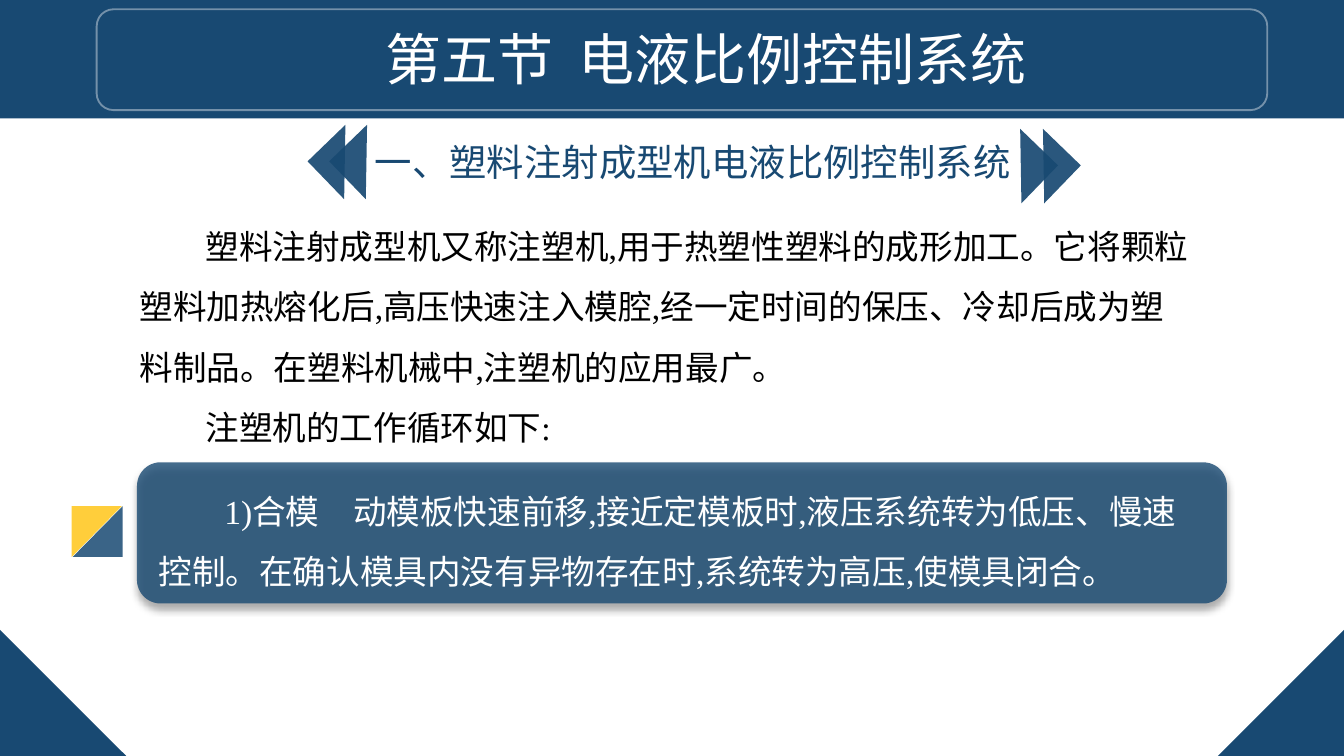
"""Build the slide on the injection moulding machine's control system."""
from lxml import etree
from pptx import Presentation
from pptx.dml.color import RGBColor
from pptx.enum import shapes, text
from pptx.oxml.ns import qn
from pptx.util import Pt

NAVY = RGBColor(0x18, 0x49, 0x72)
GOLD = RGBColor(0xFF, 0xC0, 0x00)
WHITE = RGBColor(0xFF, 0xFF, 0xFF)
BLACK = RGBColor(0, 0, 0)
FONT = "Times New Roman"
WIDTH, HEIGHT = 720, 405
CORNER, ARROW = 67.6, 28.2
KIND = shapes.MSO_SHAPE

TITLE = "第五节  电液比例控制系统"
HEADING = "一、塑料注射成型机电液比例控制系统"
INTRO = ("塑料注射成型机又称注塑机,用于热塑性塑料的成形加工。它将颗粒塑料加热熔化后,"
         "高压快速注入模腔,经一定时间的保压、冷却后成为塑料制品。"
         "在塑料机械中,注塑机的应用最广。")
CYCLE = "注塑机的工作循环如下:"
STEP = ("1)合模　动模板快速前移,接近定模板时,液压系统转为低压、慢速控制。"
        "在确认模具内没有异物存在时,系统转为高压,使模具闭合。")

BODY = {"size": 18, "indent": 35.3, "spacing": 1.5}
TEXTS = [
    (TITLE, (77.8, 9.4, 601.2, 79.9), WHITE,
     {"size": 30, "align": text.PP_ALIGN.CENTER}),
    (HEADING, (193.7, 71.3, 547.9, 31.7), NAVY, {"size": 20}),
    (INTRO, (67.7, 106.6, 576.7, 101.5), BLACK, BODY),
    (CYCLE, (67.7, 203.8, 236.9, 36), BLACK, {**BODY, "wrap": False}),
    (STEP, (77.8, 248.4, 568.8, 68.4), WHITE, BODY),
]
ARROWS = [
    (170.6, 72.7, 316, "V"),
    (182.2, 72.7, 316, "V"),
    (532.8, 74.9, 44, "HV"),
    (545, 74.9, 44, "HV"),
]


def set_alpha(color_format, percent):
    color = color_format._xFill.find(qn("a:srgbClr"))
    etree.SubElement(color, qn("a:alpha"), val=str(percent * 1000))


def add_block(parent, kind, box, fill=None, alpha=100, turn=0, flips=""):
    block = parent.add_shape(kind, *map(Pt, box))
    block.shadow.inherit = False
    block.line.fill.background()
    block.rotation = turn
    for axis in flips:
        block._element.spPr.xfrm.set("flip" + axis, "1")
    if fill is None:
        block.fill.background()
    else:
        block.fill.solid()
        block.fill.fore_color.rgb = fill
        if alpha < 100:
            set_alpha(block.fill.fore_color, alpha)
    return block


def add_words(parent, words, box, color, size, align=None, indent=0,
              spacing=None, wrap=True):
    frame = parent.add_textbox(*map(Pt, box)).text_frame
    frame.word_wrap = wrap
    paragraph = frame.paragraphs[0]
    paragraph.text = words
    paragraph.alignment = align
    paragraph.line_spacing = spacing
    if indent:
        paragraph._p.get_or_add_pPr().set("indent", str(Pt(indent)))
    paragraph.font.name = FONT
    paragraph.font.size = Pt(size)
    paragraph.font.color.rgb = color


def add_drop_shadow(block):
    effects = block._element.spPr.find(qn("a:effectLst"))
    shadow = etree.SubElement(
        effects, qn("a:outerShdw"), blurRad=str(Pt(4)), dist=str(Pt(3)),
        dir="5400000", algn="t", rotWithShape="0")
    color = etree.SubElement(shadow, qn("a:srgbClr"), val=str(BLACK))
    etree.SubElement(color, qn("a:alpha"), val="40000")


def main():
    deck = Presentation()
    deck.slide_width, deck.slide_height = Pt(WIDTH), Pt(HEIGHT)
    parts = deck.slides.add_slide(deck.slide_layouts[6]).shapes

    add_block(parts, KIND.RECTANGLE, (0, 0, WIDTH, 63.4), NAVY)
    title_frame = add_block(parts, KIND.ROUNDED_RECTANGLE, (51.8, 5, 627.1, 54))
    title_frame.line.color.rgb = WHITE
    title_frame.line.width = Pt(1)
    set_alpha(title_frame.line.color, 40)

    for left, turn in ((0, 270), (WIDTH - CORNER, 180)):
        add_block(parts, KIND.RIGHT_TRIANGLE,
                  (left, HEIGHT - CORNER, CORNER, CORNER), NAVY,
                  turn=turn, flips="V")
    for left, top, turn, flips in ARROWS:
        add_block(parts, KIND.RIGHT_TRIANGLE, (left, top, ARROW, ARROW),
                  NAVY, 92, turn, flips)

    step_card = add_block(parts, KIND.ROUNDED_RECTANGLE,
                          (73.4, 247.7, 583.9, 75.6), NAVY, 80)
    add_drop_shadow(step_card)

    marker = parts.add_group_shape().shapes
    for left, color, alpha, flips in ((38.7, NAVY, 85, ""), (38.2, GOLD, 77, "HV")):
        half = add_block(marker, KIND.ISOSCELES_TRIANGLE,
                         (left, 271.4, 27.2, 26.8), color, alpha, 270, flips)
        half.adjustments[0] = 0

    for words, box, color, style in TEXTS:
        add_words(parts, words, box, color, **style)

    deck.save("out.pptx")


if __name__ == "__main__":
    main()
